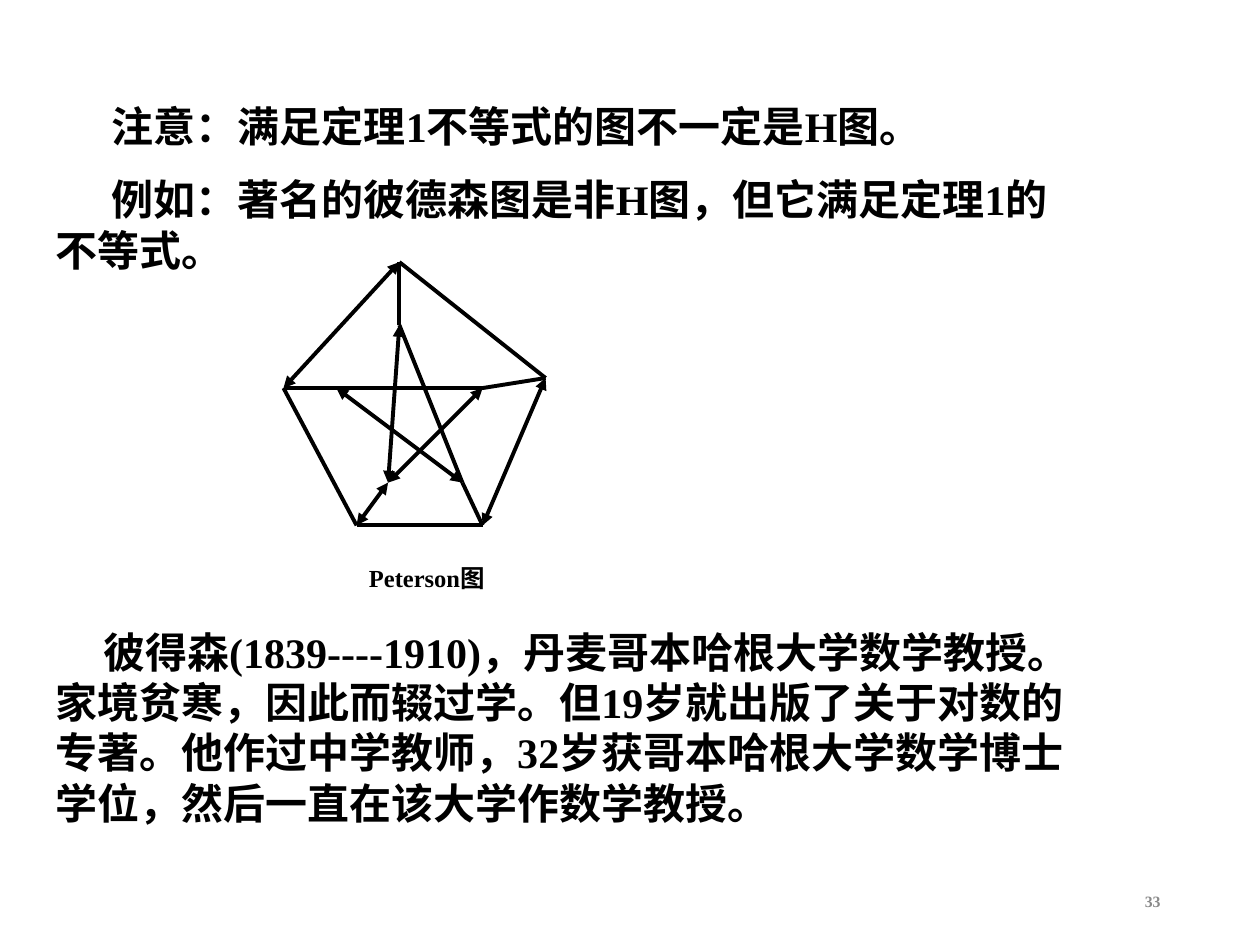
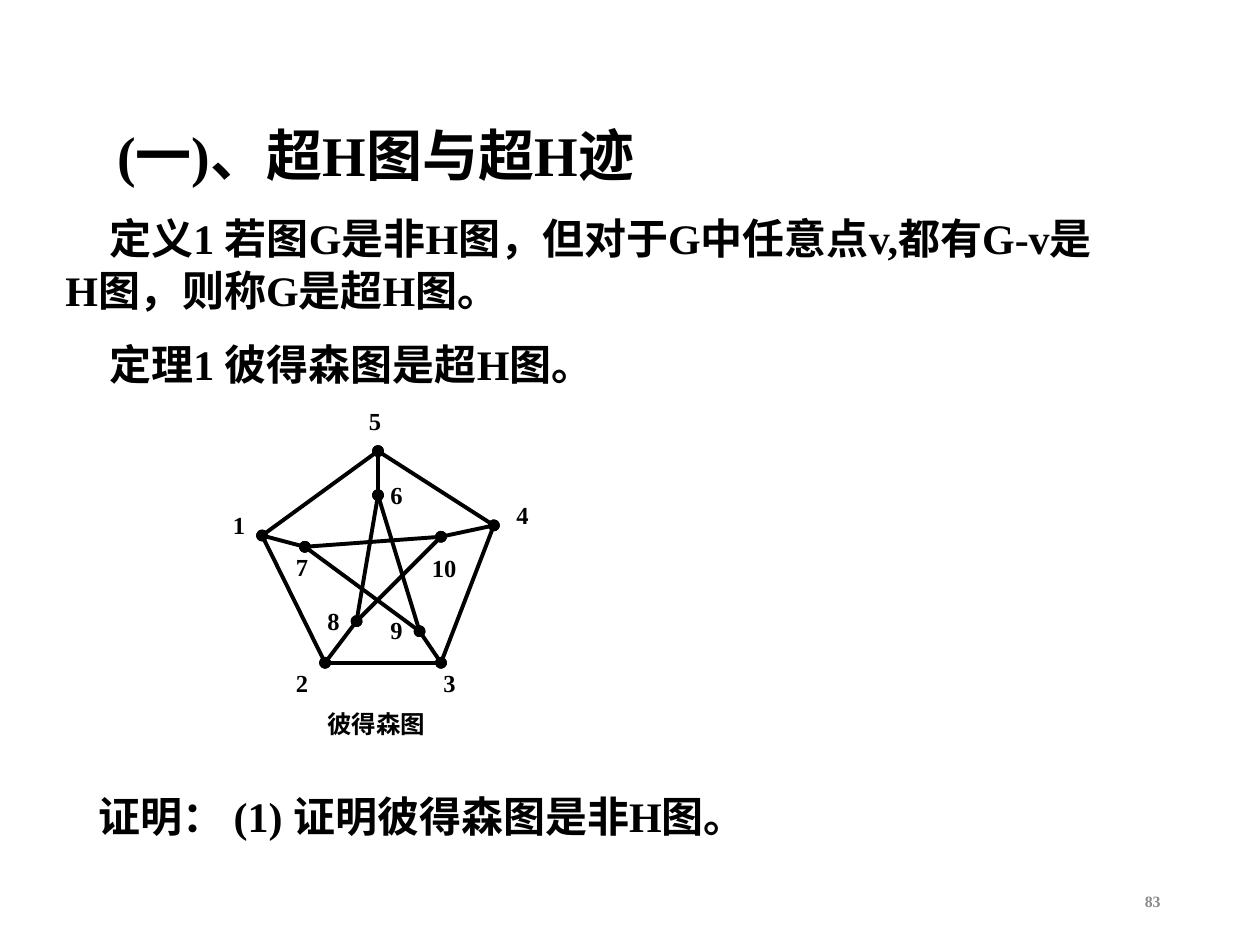
from pptx import Presentation
from pptx.dml.color import RGBColor
from pptx.enum.shapes import MSO_CONNECTOR
from pptx.enum.text import MSO_ANCHOR, MSO_AUTO_SIZE, PP_ALIGN
from pptx.oxml.ns import qn
from pptx.util import Inches, Pt
from lxml.etree import SubElement

FONT = "Times New Roman"
HEX = {"ink": "000000", "page": "898989"}
BODY, LABEL = 24, 14

# The Petersen graph: outer ring, spokes, inner star
EDGES = [(5, 1), (5, 4), (1, 2), (4, 3), (2, 3),
         (5, 6), (1, 7), (4, 10), (3, 9), (2, 8),
         (6, 8), (6, 9), (7, 9), (7, 10), (10, 8)]


def write(shape, box, text, size, indent=0, pitch=1.0, color="ink",
          align=PP_ALIGN.LEFT, anchor=MSO_ANCHOR.TOP):
    """Place a text shape and fill it with one styled paragraph."""
    shape.left, shape.top, shape.width, shape.height = map(Inches, box)
    frame = shape.text_frame
    frame.word_wrap = True
    frame.auto_size = MSO_AUTO_SIZE.NONE
    frame.vertical_anchor = anchor
    para = frame.paragraphs[0]
    para.alignment = align
    para.line_spacing = pitch
    props = para._p.get_or_add_pPr()
    props.set("indent", str(Inches(indent)))
    props.set("hangingPunct", "0")
    run = para.add_run()
    run.text = text
    run.font.name, run.font.size, run.font.bold = FONT, Pt(size), True
    run.font.color.rgb = RGBColor.from_string(HEX[color])


def link(slide, start, end, tip=None):
    """Draw an edge, with the same tip at both ends."""
    line = slide.shapes.add_connector(
        MSO_CONNECTOR.STRAIGHT, *map(Inches, start + end))
    line.line.color.rgb = RGBColor.from_string(HEX["ink"])
    line.line.width = Pt(2.25)
    props = line._element.spPr
    if tip:
        for name in ("a:headEnd", "a:tailEnd"):
            SubElement(props.find(qn("a:ln")), qn(name), type=tip)
    SubElement(props, qn("a:effectLst"))


deck = Presentation()
deck.slide_width, deck.slide_height = Inches(10), Inches(7.5)
note = deck.slides.add_slide(deck.slide_layouts[6])
proof = deck.slides.add_slide(deck.slide_layouts[5])

# Slide title
write(proof.shapes.title, (0.83, 0.91, 7.33, 0.64), "(一)、超H图与超H迹", 32)

# Body text: slide, box, first-line indent, line pitch, words
texts = [
    (note, (0.34, 0.75, 8.25, 0.5), 0.45, 1,
     "注意：满足定理1不等式的图不一定是H图。"),
    (note, (0.34, 1.33, 8.25, 0.9), 0.45, 1,
     "例如：著名的彼德森图是非H图，但它满足定理1的不等式。"),
    (note, (0.34, 4.92, 8.25, 1.7), 0.38, 1,
     "彼得森(1839----1910)，丹麦哥本哈根大学数学教授。家境贫寒，"
     "因此而辍过学。但19岁就出版了关于对数的专著。他作过中学教师，"
     "32岁获哥本哈根大学数学博士学位，然后一直在该大学作数学教授。"),
    (proof, (0.42, 1.62, 8.42, 0.97), 0.35, 1.04,
     "定义1 若图G是非H图，但对于G中任意点v,都有G-v是H图，则称G是超H图。"),
    (proof, (0.42, 2.62, 8.42, 0.57), 0.35, 1.04, "定理1 彼得森图是超H图。"),
    (proof, (0.33, 6.21, 8.42, 0.57), 0.35, 1.04,
     "证明： (1) 证明彼得森图是非H图。"),
]
for slide, box, indent, pitch, text in texts:
    write(slide.shapes.add_textbox(0, 0, 0, 0), box, text, BODY,
          indent, float(pitch))

# Graph with arrows on some edges
nodes = {1: (2.25, 3.08), 2: (2.83, 4.17), 3: (3.83, 4.17), 4: (4.33, 3),
         5: (3.17, 2.08), 6: (3.17, 2.58), 7: (2.67, 3.08), 8: (3.08, 3.83),
         9: (3.67, 3.83), 10: (3.83, 3.08)}
arrows = {(5, 1), (4, 3), (2, 8), (6, 8), (7, 9), (10, 8)}
for a, b in EDGES:
    link(note, nodes[a], nodes[b], "triangle" if (a, b) in arrows else None)

# Graph with dots at its nodes
dots = {1: (2.08, 4.25), 2: (2.58, 5.26), 3: (3.5, 5.26), 4: (3.92, 4.17),
        5: (3, 3.58), 6: (3, 3.93), 7: (2.42, 4.34), 8: (2.83, 4.93),
        9: (3.33, 5.01), 10: (3.5, 4.26)}
for a, b in EDGES:
    link(proof, dots[a], dots[b], "oval")

# Node numbers
spots = {1: (1.75, 4), 2: (2.25, 5.25), 3: (3.42, 5.25), 4: (4, 3.92),
         5: (2.83, 3.17), 6: (3, 3.76), 7: (2.25, 4.33), 8: (2.5, 4.76),
         9: (3, 4.83), 10: (3.33, 4.34)}
for num, (x, y) in spots.items():
    wide = 0.5 if num > 9 else 0.35
    write(proof.shapes.add_textbox(0, 0, 0, 0), (x, y, wide, 0.34),
          str(num), LABEL)

# Captions and page numbers
for slide, box, text, page in [
        (note, (2.83, 4.42, 1.6, 0.34), "Peterson图", "33"),
        (proof, (2.5, 5.58, 1.25, 0.34), "彼得森图", "83")]:
    write(slide.shapes.add_textbox(0, 0, 0, 0), box, text, LABEL)
    write(slide.shapes.add_textbox(0, 0, 0, 0), (7.06, 6.95, 2.25, 0.4),
          page, 9, color="page", align=PP_ALIGN.RIGHT,
          anchor=MSO_ANCHOR.MIDDLE)

deck.save("out.pptx")
